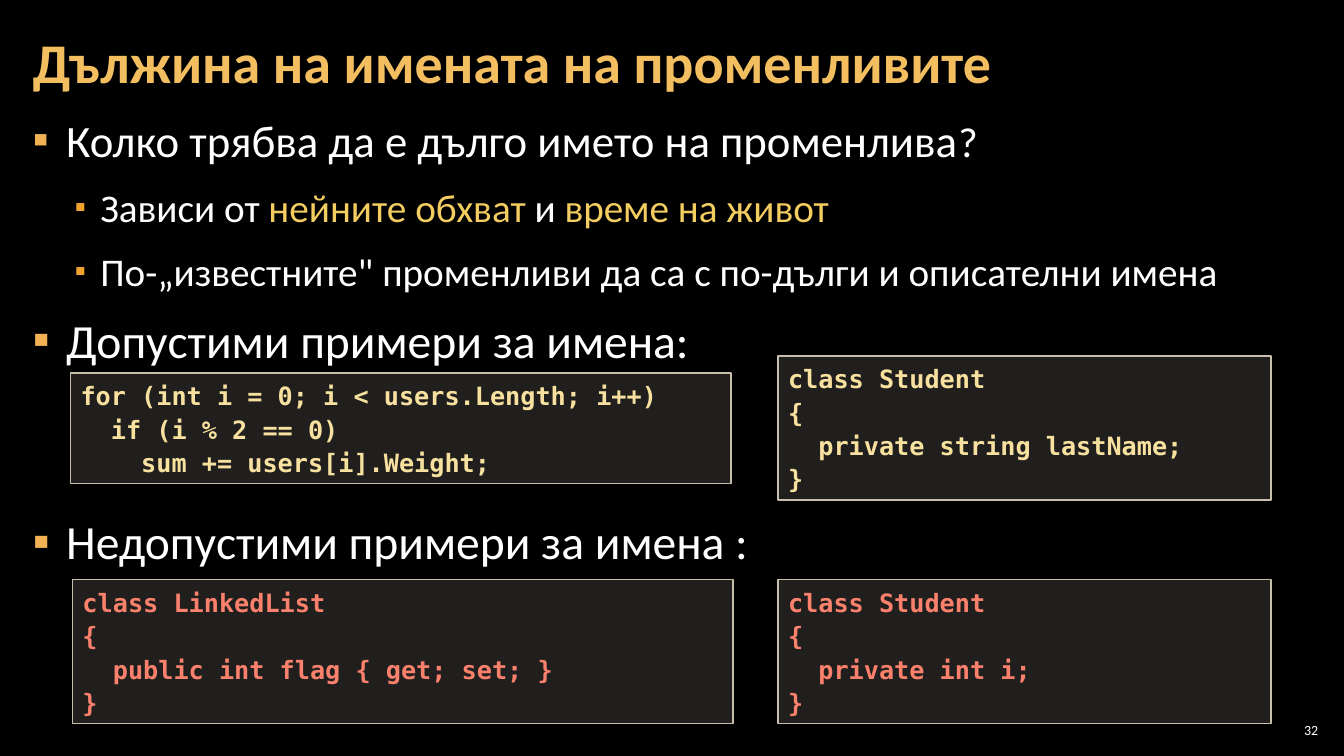
from dataclasses import dataclass
from lxml.etree import SubElement
from pptx import Presentation
from pptx.dml.color import RGBColor
from pptx.enum.shapes import MSO_SHAPE
from pptx.enum.text import MSO_ANCHOR, MSO_AUTO_SIZE, PP_ALIGN
from pptx.oxml.ns import qn
from pptx.util import Cm, Pt


@dataclass(frozen=True)
class Theme:
    text_font: str = "Calibri"
    code_font: str = "DejaVu Sans Mono"
    background: str = "000000"
    title: str = "F3BE60"
    text: str = "FFFFFF"
    accent: str = "F3CD60"
    bullets: tuple = ("F2B254", "F0A22E")
    good: str = "F8E19F"
    bad: str = "FB816D"
    panel: str = "D9D5C7"
    panel_opacity: int = 15
    panel_line: str = "C7BFAC"
    title_size: int = 40
    sub_size: int = 28
    code_size: int = 18
    number_size: int = 10


THEME = Theme()

# Content
TITLE = "Дължина на имената на променливите"
SLIDE_NUMBER = "32"
# level, space before in points, runs of (text, size, colour)
POINTS = [
    (0, 0, [("Колко трябва да е дълго името на променлива", 32, THEME.text),
            ("?", 30, THEME.text)]),
    (1, 6, [("Зависи от ", THEME.sub_size, THEME.text),
            ("нейните обхват ", THEME.sub_size, THEME.accent),
            ("и ", THEME.sub_size, THEME.text),
            ("време на живот", THEME.sub_size, THEME.accent)]),
    (1, 6, [("По-„известните\" променливи да са с по-дълги и описателни имена",
             THEME.sub_size, THEME.text)]),
    (0, 6, [("Допустими примери за имена:", 34, THEME.text)]),
    (0, 97, [("Недопустими примери за имена :", 34, THEME.text)]),
]
# left, top, width in cm, colour, code lines
LEFT_WIDTH, RIGHT_X, RIGHT_WIDTH, BOTTOM_Y = 16.64, 19.61, 12.42, 14.61
EXAMPLES = [
    (1.78, 9.4, LEFT_WIDTH, THEME.good,
     ["for (int i = 0; i < users.Length; i++)",
      "  if (i % 2 == 0)",
      "    sum += users[i].Weight;"]),
    (RIGHT_X, 8.97, RIGHT_WIDTH, THEME.good,
     ["class Student", "{", "  private string lastName;", "}"]),
    (RIGHT_X, BOTTOM_Y, RIGHT_WIDTH, THEME.bad,
     ["class Student", "{", "  private int i;", "}"]),
    (1.83, BOTTOM_Y, LEFT_WIDTH, THEME.bad,
     ["class LinkedList", "{", "  public int flag { get; set; }", "}"]),
]
LINE_HEIGHT, PANEL_PADDING = 0.84, 0.27
INDENTS = [(0.84, -0.84), (1.7, -0.64)]  # left margin and first line, by level


def add_run(paragraph, text, size, colour, font=THEME.text_font, bold=False):
    run = paragraph.add_run()
    run.text = text
    run.font.size = Pt(size)
    run.font.name = font
    run.font.bold = bold
    run.font.color.rgb = RGBColor.from_string(colour)


def set_frame(frame, side, anchor=MSO_ANCHOR.TOP):
    frame.word_wrap = True
    frame.vertical_anchor = anchor
    frame.margin_left = frame.margin_right = Cm(side)
    frame.margin_top = frame.margin_bottom = Cm(0.12)


def next_paragraph(frame, index):
    return frame.add_paragraph() if index else frame.paragraphs[0]


def add_bullet(paragraph, level):
    paragraph.level = level
    props = paragraph._p.get_or_add_pPr()
    margin, indent = INDENTS[level]
    props.set("marL", str(Cm(margin)))
    props.set("indent", str(Cm(indent)))
    colour = SubElement(props, qn("a:buClr"))
    SubElement(colour, qn("a:srgbClr"), val=THEME.bullets[level])
    SubElement(props, qn("a:buSzPct"), val=("100000", "80000")[level])
    SubElement(props, qn("a:buFont"), typeface=THEME.text_font)
    SubElement(props, qn("a:buChar"), char="▪")


def add_example(slide, left, top, width, colour, lines):
    height = len(lines) * LINE_HEIGHT + PANEL_PADDING
    panel = slide.shapes.add_shape(
        MSO_SHAPE.RECTANGLE, Cm(left), Cm(top), Cm(width), Cm(height))
    panel.shadow.inherit = False
    panel.fill.solid()
    panel.fill.fore_color.rgb = RGBColor.from_string(THEME.panel)
    fill_colour = panel._element.spPr.find(qn("a:solidFill")).find(qn("a:srgbClr"))
    SubElement(fill_colour, qn("a:alpha"), val=str(THEME.panel_opacity * 1000))
    panel.line.color.rgb = RGBColor.from_string(THEME.panel_line)
    panel.line.width = Pt(1)
    frame = panel.text_frame
    set_frame(frame, 0.25)
    frame.auto_size = MSO_AUTO_SIZE.SHAPE_TO_FIT_TEXT
    for index, line in enumerate(lines):
        paragraph = next_paragraph(frame, index)
        paragraph.alignment = PP_ALIGN.LEFT
        paragraph.line_spacing = 1.1
        add_run(paragraph, line, THEME.code_size, colour, THEME.code_font, True)


def main():
    deck = Presentation()
    deck.slide_width, deck.slide_height = Cm(33.87), Cm(19.05)
    slide = deck.slides.add_slide(deck.slide_layouts[5])
    slide.background.fill.solid()
    slide.background.fill.fore_color.rgb = RGBColor.from_string(THEME.background)

    # Title
    title = slide.shapes.title
    title.left, title.top, title.width, title.height = Cm(0.53), Cm(0.1), Cm(26.59), Cm(3.07)
    set_frame(title.text_frame, 0.3, MSO_ANCHOR.MIDDLE)
    heading = title.text_frame.paragraphs[0]
    heading.alignment = PP_ALIGN.LEFT
    heading.line_spacing = 0.9
    add_run(heading, TITLE, THEME.title_size, THEME.title, bold=True)

    # Bullet points
    body = slide.shapes.add_textbox(Cm(0.53), Cm(2.72), Cm(32.79), Cm(15.47)).text_frame
    set_frame(body, 0.3)
    for index, (level, space_before, runs) in enumerate(POINTS):
        point = next_paragraph(body, index)
        add_bullet(point, level)
        point.space_before, point.space_after = Pt(space_before), Pt(6)
        for text, size, colour in runs:
            add_run(point, text, size, colour)

    # Code examples
    for example in EXAMPLES:
        add_example(slide, *example)

    # Slide number
    corner = slide.shapes.add_textbox(Cm(32.13), Cm(18.14), Cm(1.19), Cm(0.53)).text_frame
    set_frame(corner, 0.1, MSO_ANCHOR.MIDDLE)
    number = corner.paragraphs[0]
    number.alignment = PP_ALIGN.RIGHT
    add_run(number, SLIDE_NUMBER, THEME.number_size, THEME.text)

    deck.save("out.pptx")


if __name__ == "__main__":
    main()
